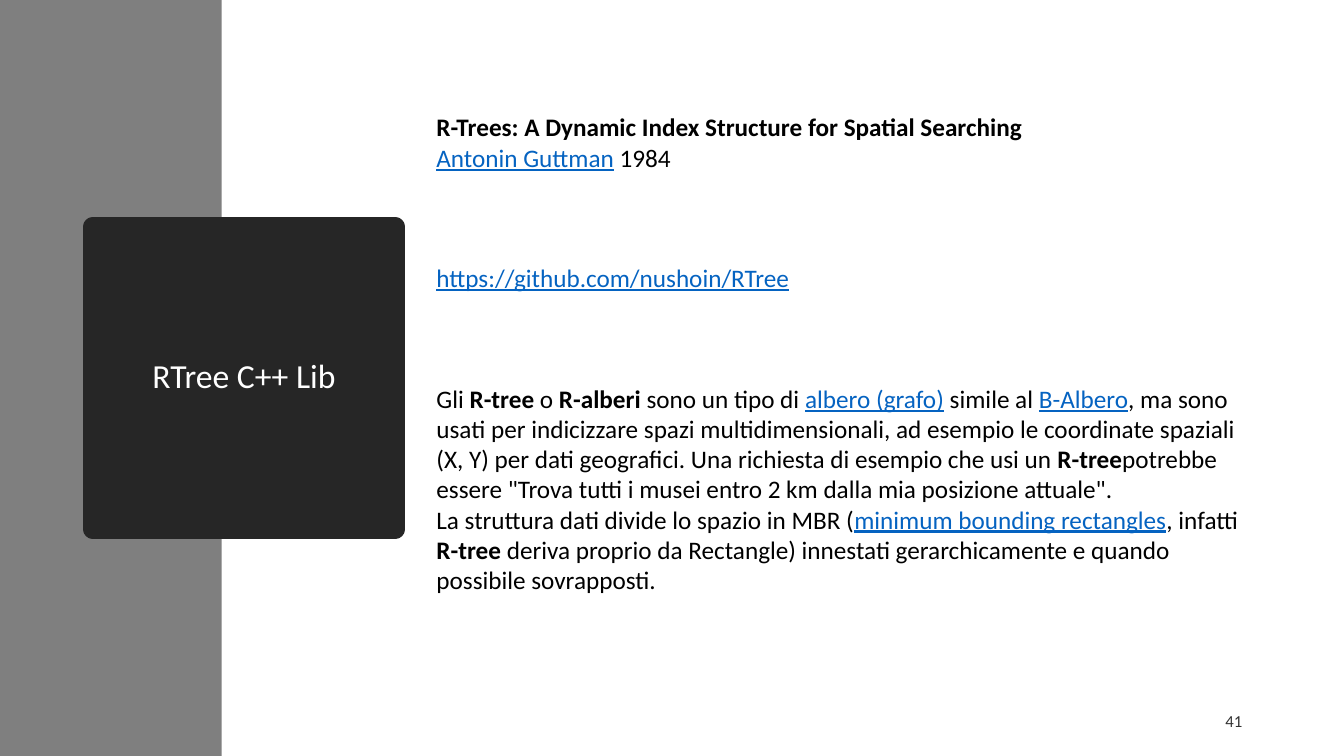
from pptx import Presentation
from pptx.dml.color import RGBColor
from pptx.enum.shapes import MSO_SHAPE
from pptx.enum.text import MSO_ANCHOR, MSO_AUTO_SIZE, PP_ALIGN
from pptx.util import Inches, Pt


def color(value):
    return RGBColor.from_string(value)


def add_text(left, top, width, height, paragraphs, size=18, ink="000000", wrap=True):
    frame = slide.shapes.add_textbox(
        Inches(left), Inches(top), Inches(width), Inches(height)
    ).text_frame
    frame.word_wrap = wrap
    for index, pieces in enumerate(paragraphs):
        paragraph = frame.paragraphs[0] if index == 0 else frame.add_paragraph()
        paragraph.font.name = "Calibri"
        paragraph.font.size = Pt(size)
        paragraph.font.color.rgb = color(ink)
        for text, style in pieces:
            run = paragraph.add_run()
            run.text = text
            if style == "bold":
                run.font.bold = True
            elif style == "link":
                run.font.underline = True
                run.font.color.rgb = color("0563C1")
    return frame


prs = Presentation()
prs.slide_width = Inches(13.33)
prs.slide_height = Inches(7.5)
slide = prs.slides.add_slide(prs.slide_layouts[5])

title = slide.shapes.title
title.left, title.top = Inches(0.92), Inches(2.25)
title.width, title.height = Inches(3), Inches(3)
title.fill.solid()
title.fill.fore_color.rgb = color("262626")
title.line.color.rgb = color("262626")
title.line.width = Pt(13.75)
title.text_frame.text = "RTree C++ Lib"
title.text_frame.word_wrap = True
title.text_frame.auto_size = MSO_AUTO_SIZE.NONE
title.text_frame.vertical_anchor = MSO_ANCHOR.MIDDLE
heading = title.text_frame.paragraphs[0]
heading.alignment = PP_ALIGN.CENTER
heading.line_spacing = 0.9
heading.font.name = "Calibri"
heading.font.size = Pt(24)
heading.font.color.rgb = color("FFFFFF")

side_band = slide.shapes.add_shape(
    MSO_SHAPE.RECTANGLE, Inches(0), Inches(0), Inches(2.2), Inches(7.5)
)
side_band.shadow.inherit = False
side_band.fill.solid()
side_band.fill.fore_color.rgb = color("7F7F7F")
side_band.line.fill.background()
title.element.addprevious(side_band.element)

page_number = add_text(9.42, 6.95, 3, 0.4, [[("41", "plain")]], size=12, ink="333333")
page_number.vertical_anchor = MSO_ANCHOR.MIDDLE
page_number.paragraphs[0].alignment = PP_ALIGN.RIGHT

add_text(4.23, 2.55, 3.73, 0.4, [[("https://github.com/nushoin/RTree", "link")]], wrap=False)

add_text(4.23, 1.06, 7.74, 0.71, [
    [("R-Trees: A Dynamic Index Structure for Spatial Searching", "bold")],
    [("Antonin Guttman", "link"), (" 1984", "plain")],
])

add_text(4.23, 3.75, 8.21, 2.83, [
    [
        ("Gli ", "plain"),
        ("R-tree", "bold"),
        (" o ", "plain"),
        ("R-alberi", "bold"),
        (" sono un tipo di ", "plain"),
        ("albero (grafo)", "link"),
        (" simile al ", "plain"),
        ("B-Albero", "link"),
        (", ma sono usati per indicizzare spazi multidimensionali, ad esempio le "
         "coordinate spaziali (X, Y) per dati geografici. Una richiesta di esempio "
         "che usi un ", "plain"),
        ("R-tree", "bold"),
        ("potrebbe essere \"Trova tutti i musei entro 2 km dalla mia posizione "
         "attuale\".", "plain"),
    ],
    [
        ("La struttura dati divide lo spazio in MBR (", "plain"),
        ("minimum bounding rectangles", "link"),
        (", infatti ", "plain"),
        ("R-tree", "bold"),
        (" deriva proprio da Rectangle) innestati gerarchicamente e quando "
         "possibile sovrapposti.", "plain"),
    ],
])

prs.save("out.pptx")
